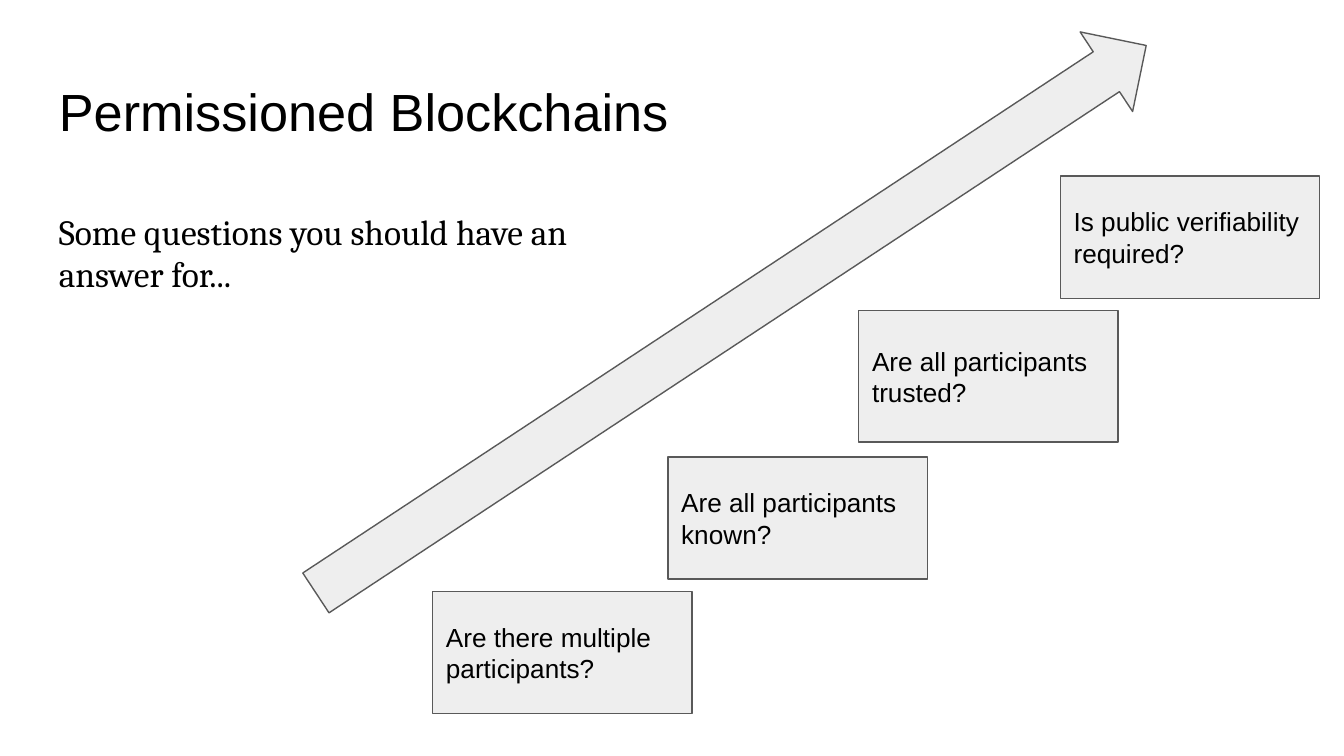
from pptx import Presentation
from pptx.dml.color import RGBColor
from pptx.enum.shapes import MSO_SHAPE
from pptx.enum.text import MSO_ANCHOR, PP_ALIGN
from pptx.util import Pt

RECT, ARROW = MSO_SHAPE.RECTANGLE, MSO_SHAPE.RIGHT_ARROW
TOP, MIDDLE = MSO_ANCHOR.TOP, MSO_ANCHOR.MIDDLE
LEFT = PP_ALIGN.LEFT

COLORS = {"text": "000000", "fill": "EEEEEE", "line": "595959"}
INSET = 7.2

# Question, left, top and height of each step, from bottom to top
STEPS = [
    ("Are there multiple participants?", 231.84, 316.8, 65.52),
    ("Are all participants known?", 357.84, 244.8, 65.52),
    ("Are all participants trusted?", 460.08, 166.32, 70.56),
    ("Is public verifiability required?", 568.08, 94.32, 65.52),
]
STEP_WIDTH = 138.96


def color(name):
    return RGBColor.from_string(COLORS[name])


def write(shape, text, size, font="Arial", anchor=TOP):
    tf = shape.text_frame
    tf.word_wrap = True
    tf.vertical_anchor = anchor
    tf.margin_left = tf.margin_right = Pt(INSET)
    tf.margin_top = tf.margin_bottom = Pt(INSET)
    p = tf.paragraphs[0]
    p.alignment = LEFT
    r = p.add_run()
    r.text = text
    r.font.size = Pt(size)
    r.font.name = font
    r.font.color.rgb = color("text")


def add_heading(s, box, text, size, font="Arial"):
    sp = s.shapes.add_textbox(*map(Pt, box))
    write(sp, text, size, font)


def add_block(s, kind, box):
    sp = s.shapes.add_shape(kind, *map(Pt, box))
    sp.shadow.inherit = False
    sp.fill.solid()
    sp.fill.fore_color.rgb = color("fill")
    sp.line.color.rgb = color("line")
    sp.line.width = Pt(0.75)
    return sp


def add_step(s, box, text):
    write(add_block(s, RECT, box), text, 14, anchor=MIDDLE)


def add_rising_arrow(s, box):
    add_block(s, ARROW, box).rotation = 326.6


def main():
    prs = Presentation()
    prs.slide_width, prs.slide_height = Pt(720), Pt(405)
    s = prs.slides.add_slide(prs.slide_layouts[6])

    # Title
    add_heading(s, (24.48, 35.28, 671.04, 45.36), "Permissioned Blockchains", 28)

    # Staircase of questions
    for text, left, top, height in STEPS:
        add_step(s, (left, top, STEP_WIDTH, height), text)

    # Arrow rising above the steps
    add_rising_arrow(s, (125.28, 145.44, 532.8, 51.12))

    # Introduction
    add_heading(s, (24.48, 105.12, 333.36, 45.36),
                "Some questions you should have an answer for...", 19, "Cambria")

    prs.save("out.pptx")


if __name__ == "__main__":
    main()
